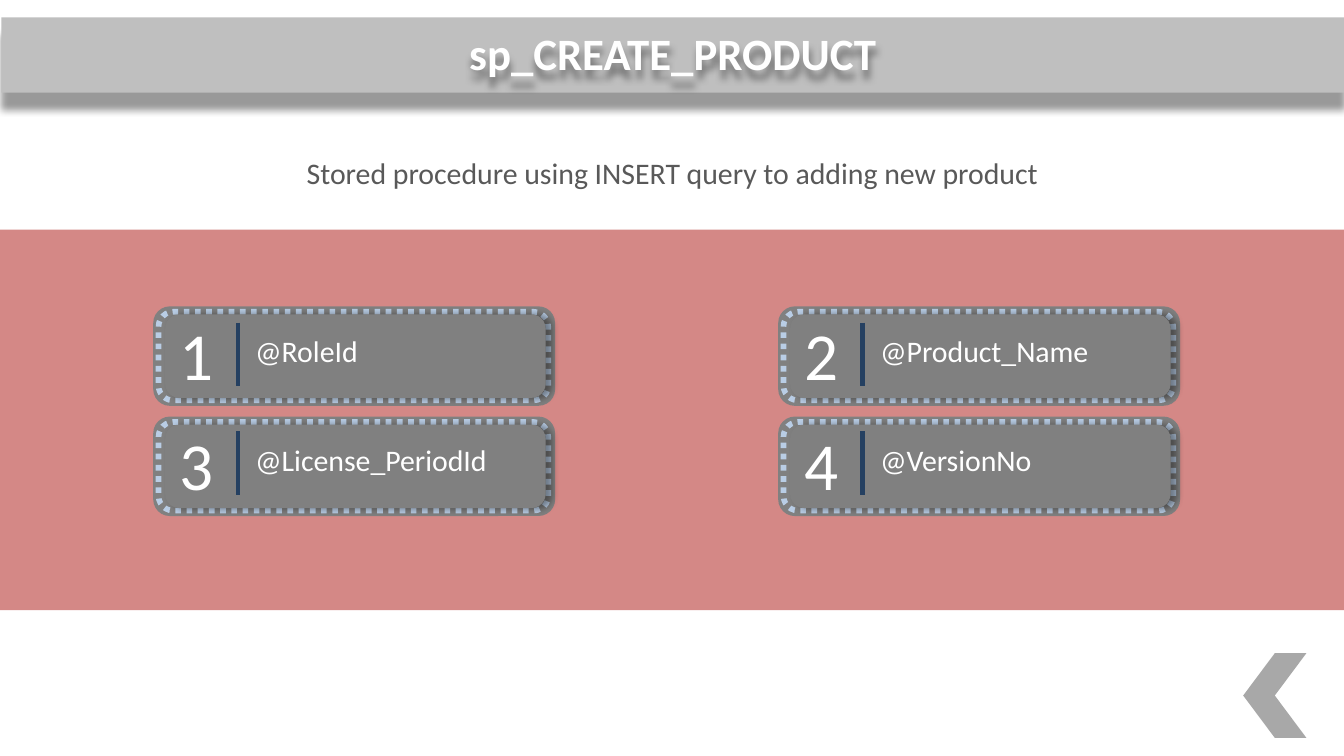
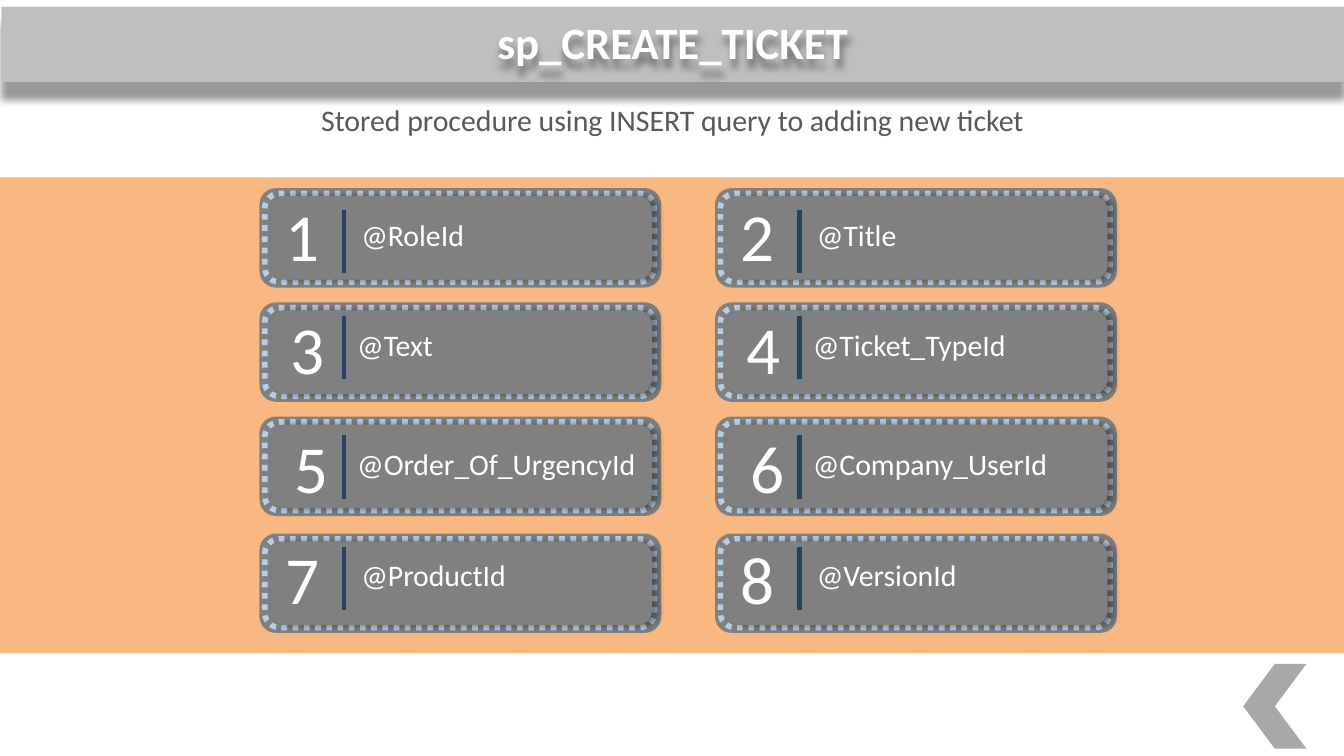
"""Build two slides that list the parameters of stored procedures."""
from dataclasses import dataclass

from lxml import etree
from pptx import Presentation
from pptx import util as u
from pptx.dml.color import RGBColor
from pptx.enum import dml, shapes, text
from pptx.oxml.ns import qn

PROCEDURES = [
    {
        "title": "sp_CREATE_PRODUCT",
        "summary": "Stored procedure using INSERT query to adding new product",
        "parameters": ["@RoleId", "@Product_Name", "@License_PeriodId", "@VersionNo"],
        "panel": ("C0504D", 1.71, 2.83),
        "tops": {"title": 0.13, "summary": 1.1, "back": 4.86},
        "columns": [1.14, 5.79],
        "rows": [
            {"top": 2.28, "number": (0, 0), "divider": 0.12, "label": (0.66, 0.15)},
            {"top": 3.1, "number": (0, 0), "divider": 0.11, "label": (0.66, 0.14)},
        ],
    },
    {
        "title": "sp_CREATE_TICKET",
        "summary": "Stored procedure using INSERT query to adding new ticket",
        "parameters": ["@RoleId", "@Title", "@Text", "@Ticket_TypeId",
                       "@Order_Of_UrgencyId", "@Company_UserId", "@ProductId", "@VersionId"],
        "panel": ("F79646", 1.32, 3.54),
        "tops": {"title": 0.05, "summary": 0.71, "back": 4.94},
        "columns": [1.93, 5.32],
        "rows": [
            {"top": 1.4, "number": (0, 0), "divider": 0.16, "label": (0.66, 0.16)},
            {"top": 2.25, "number": (0.04, -0.01), "divider": 0.1, "label": (0.63, 0.13)},
            {"top": 3.1, "number": (0.07, 0.02), "divider": 0.14, "label": (0.63, 0.17)},
            {"top": 3.97, "number": (0, -0.02), "divider": 0.1, "label": (0.66, 0.12)},
        ],
    },
]


@dataclass(frozen=True)
class Theme:
    font: str = "Calibri"
    white: str = "FFFFFF"
    grey: str = "808080"
    banner: str = "BFBFBF"
    summary: str = "595959"
    stitch: str = "B9CDE5"
    divider: str = "254061"
    shadow: str = "000000"
    title_size: int = 24
    number_size: int = 36
    body_size: int = 16
    opacity: int = 68


THEME = Theme()


def add_alpha(color_element, percent):
    etree.SubElement(color_element, qn("a:alpha"), val=str(percent * 1000))


def add_shadow(shape, distance, degrees):
    shape.shadow.inherit = False
    effects = shape._element.spPr.find(qn("a:effectLst"))
    outer = etree.SubElement(effects, qn("a:outerShdw"), blurRad=str(u.Pt(4)),
                             dist=str(u.Pt(distance)), dir=str(degrees * 60000),
                             algn="ctr", rotWithShape="0")
    add_alpha(etree.SubElement(outer, qn("a:srgbClr"), val=THEME.shadow), 40)


def add_block(slide, kind, box, color, opacity=100):
    block = slide.shapes.add_shape(kind, *map(u.Inches, box))
    block.shadow.inherit = False
    block.fill.solid()
    block.fill.fore_color.rgb = RGBColor.from_string(color)
    block.line.fill.background()
    if opacity < 100:
        add_alpha(block._element.spPr.find(qn("a:solidFill"))[0], opacity)
    return block


def add_text(slide, words, box, size, color, centred=False, bold=False):
    holder = slide.shapes.add_textbox(*map(u.Inches, box))
    frame = holder.text_frame
    frame.word_wrap = True
    frame.auto_size = text.MSO_AUTO_SIZE.SHAPE_TO_FIT_TEXT
    paragraph = frame.paragraphs[0]
    paragraph.text = words
    paragraph.alignment = text.PP_ALIGN.CENTER if centred else text.PP_ALIGN.LEFT
    paragraph.font.name = THEME.font
    paragraph.font.size = u.Pt(size)
    paragraph.font.bold = bold
    paragraph.font.color.rgb = RGBColor.from_string(color)
    return holder


def add_title(slide, words, top):
    banner = add_block(slide, shapes.MSO_SHAPE.RECTANGLE, (0.01, top, 9.99, 0.56), THEME.banner)
    add_shadow(banner, 9, 90)
    title = add_text(slide, words, (0.01, top + 0.02, 9.99, 0.48),
                     THEME.title_size, THEME.white, centred=True, bold=True)
    add_shadow(title, 4, 90)
    frame = title.text_frame
    frame.auto_size = text.MSO_AUTO_SIZE.NONE
    frame.margin_left = frame.margin_right = u.Inches(0.07)
    frame.margin_top = frame.margin_bottom = u.Inches(0.04)


def add_card(slide, number, parameter, left, row):
    top = row["top"]
    rounded = shapes.MSO_SHAPE.ROUNDED_RECTANGLE
    add_block(slide, rounded, (left, top, 2.99, 0.74), THEME.grey)
    stitching = add_block(slide, rounded, (left + 0.04, top + 0.04, 2.9, 0.66), THEME.grey)
    stitching.line.color.rgb = RGBColor.from_string(THEME.stitch)
    stitching.line.width = u.Pt(3)
    stitching.line.dash_style = dml.MSO_LINE.ROUND_DOT
    face = add_block(slide, rounded, (left + 0.09, top + 0.06, 2.83, 0.62), THEME.grey)
    add_shadow(face, 3, 0)

    dx, dy = row["number"]
    add_text(slide, str(number), (left + dx, top + dy, 0.64, 0.71),
             THEME.number_size, THEME.white, centred=True)
    x, start = left + 0.63, top + row["divider"]
    divider = slide.shapes.add_connector(
        shapes.MSO_CONNECTOR.STRAIGHT, *map(u.Inches, (x, start, x, start + 0.47)))
    divider.line.color.rgb = RGBColor.from_string(THEME.divider)
    divider.line.width = u.Pt(2.5)
    etree.SubElement(divider._element.spPr, qn("a:effectLst"))
    dx, dy = row["label"]
    add_text(slide, parameter, (left + dx, top + dy, 2.33, 0.37), THEME.body_size, THEME.white)


def add_procedure(deck, procedure):
    slide = deck.slides.add_slide(deck.slide_layouts[6])
    color, top, height = procedure["panel"]
    tops = procedure["tops"]
    add_block(slide, shapes.MSO_SHAPE.RECTANGLE, (0, top, 10, height), color, THEME.opacity)
    add_title(slide, procedure["title"], tops["title"])
    add_text(slide, procedure["summary"], (0.01, tops["summary"], 9.99, 0.37),
             THEME.body_size, THEME.summary, centred=True)
    columns = procedure["columns"]
    for index, parameter in enumerate(procedure["parameters"]):
        row, column = divmod(index, len(columns))
        add_card(slide, index + 1, parameter, columns[column], procedure["rows"][row])
    back = add_block(slide, shapes.MSO_SHAPE.CHEVRON, (9.25, tops["back"], 0.47, 0.63),
                     THEME.grey, THEME.opacity)
    back.rotation = 180


def main():
    deck = Presentation()
    deck.slide_width = u.Inches(10)
    deck.slide_height = deck.slide_width * 9 // 16
    for procedure in PROCEDURES:
        add_procedure(deck, procedure)
    deck.save("out.pptx")


if __name__ == "__main__":
    main()
